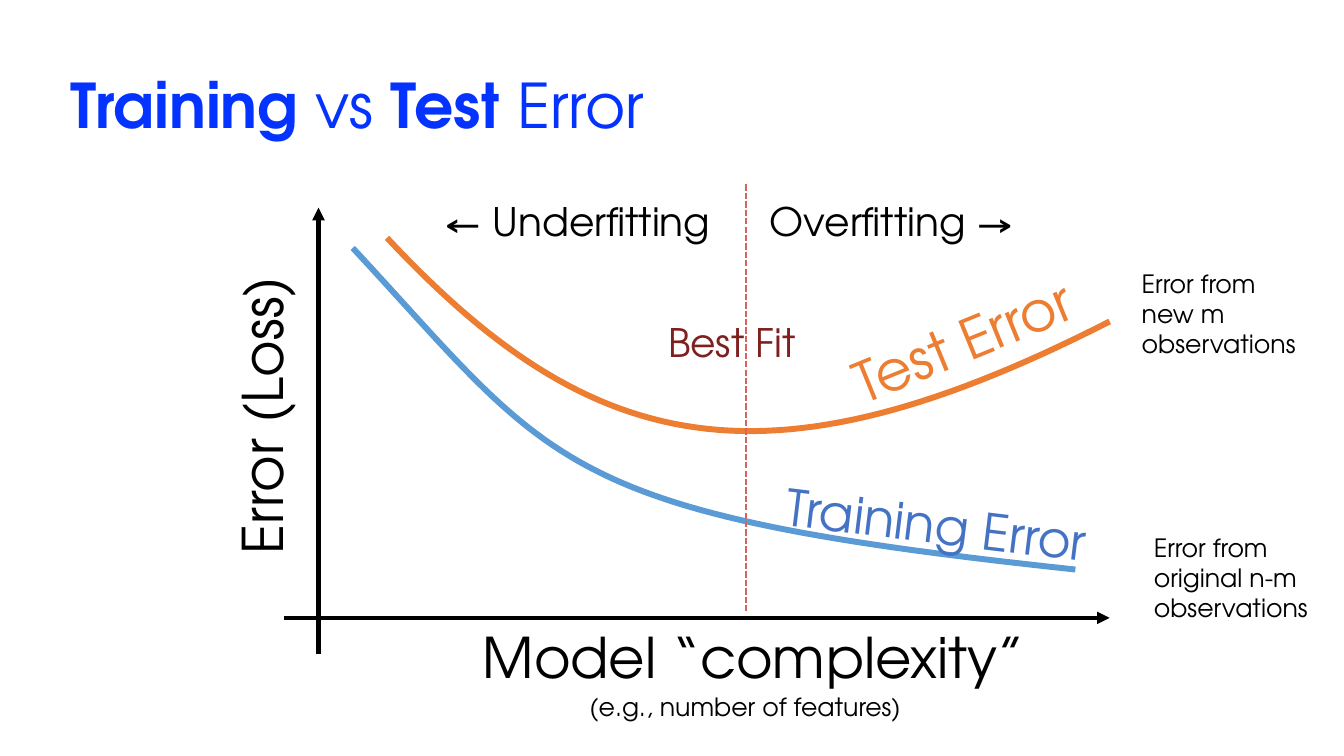
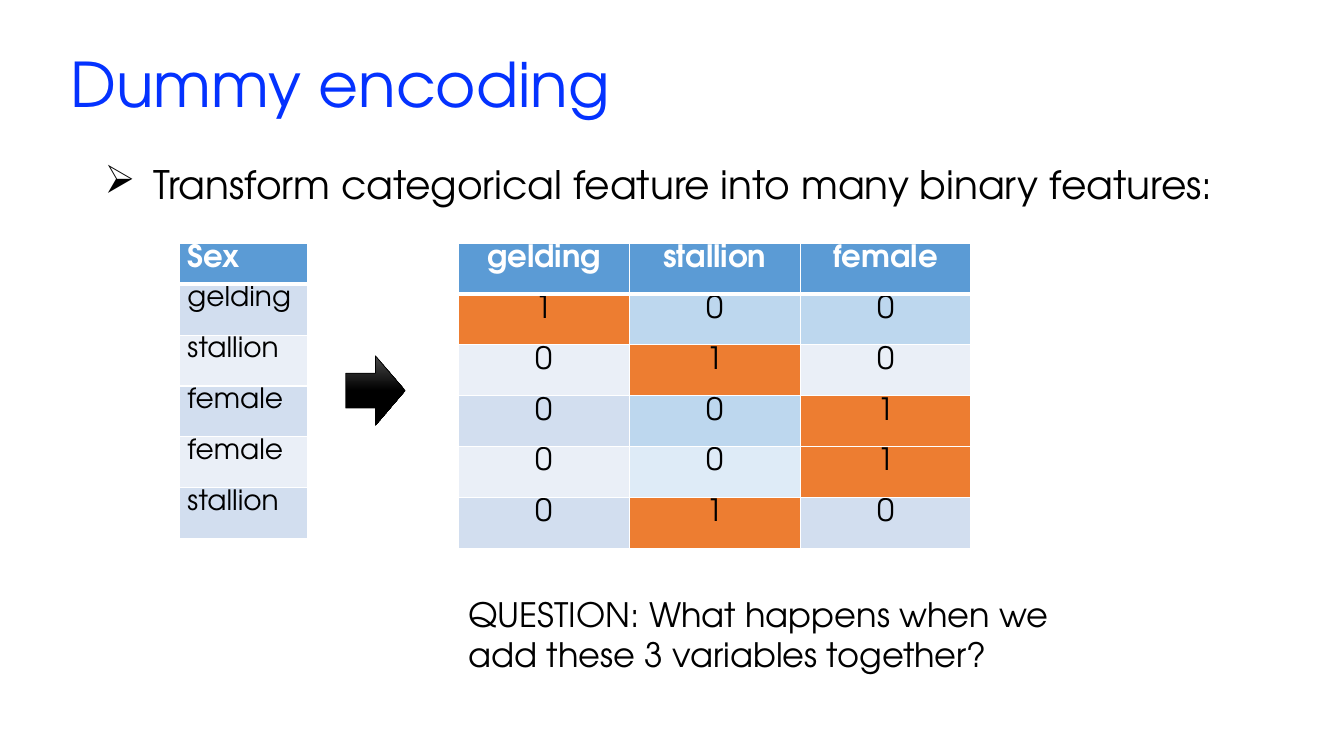
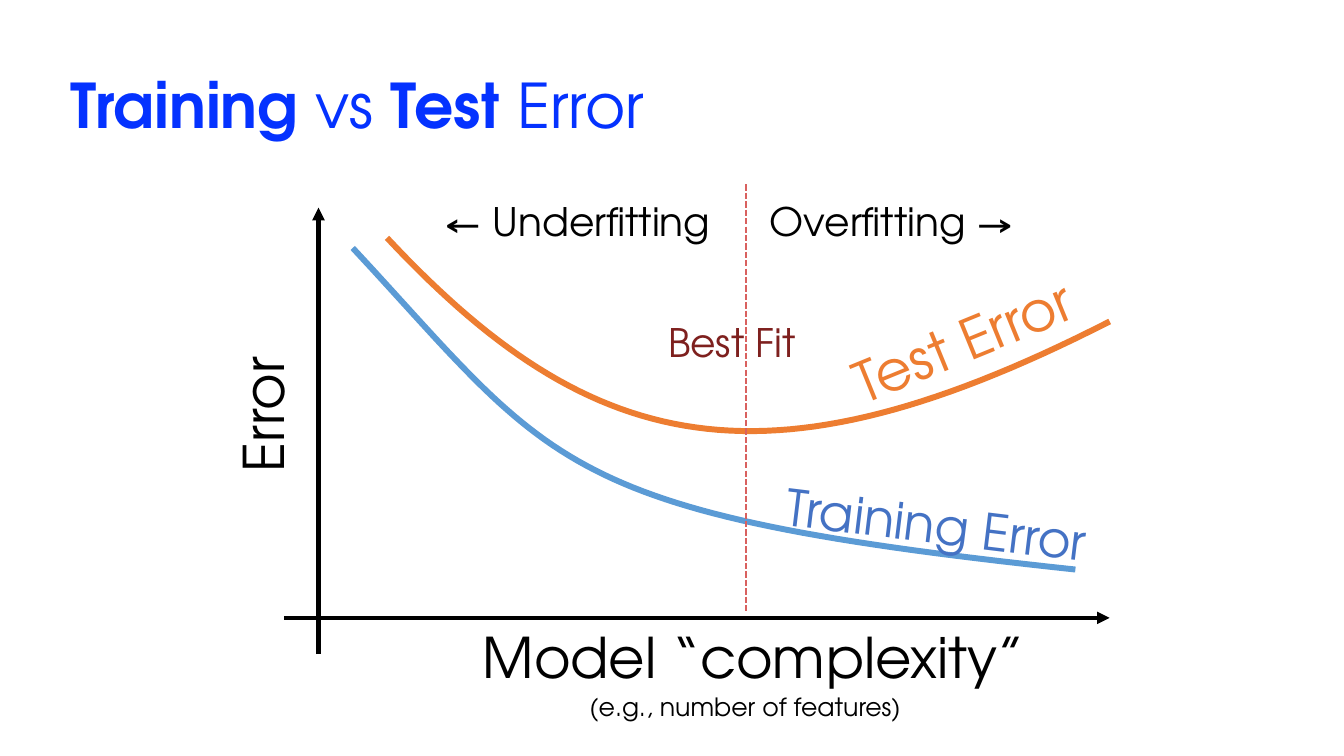
from pptx import Presentation
from pptx.dml.color import RGBColor
from pptx.enum.dml import MSO_LINE
from pptx.enum.shapes import MSO_CONNECTOR, MSO_SHAPE
from pptx.enum.text import MSO_ANCHOR, MSO_AUTO_SIZE, PP_ALIGN
from pptx.oxml import parse_xml
from pptx.oxml.ns import nsdecls, qn
from pptx.util import Emu, Pt

PX = 4572  # EMU per px, 200 px to the inch
FONT = "TeX Gyre Adventor"
TIGHT = 0.9  # line spacing of titles, bullets and cells
COLORS = {
    "title": "0432FF", "text": "000000", "white": "FFFFFF",
    "train_curve": "5B9BD5", "train_label": "4472C4", "test": "ED7D31",
    "best_line": "D9615F", "best_label": "7E201E",
    "header": "5B9BD5", "band_dark": "D2DEEF", "band_light": "EAEFF7",
    "zero_dark": "BDD7EE", "zero_light": "DEEBF7", "one": "ED7D31",
    "arrow_top": "4B4B4B",
}
LEFT, CENTER = PP_ALIGN.LEFT, PP_ALIGN.CENTER
MIDDLE = MSO_ANCHOR.MIDDLE
NO_FIT, GROW = MSO_AUTO_SIZE.NONE, MSO_AUTO_SIZE.SHAPE_TO_FIT_TEXT
STRAIGHT, DASH = MSO_CONNECTOR.STRAIGHT, MSO_LINE.SQUARE_DOT
RIGHT_ARROW = MSO_SHAPE.RIGHT_ARROW
TITLE_ONLY = 5


def px(*lengths):
    return [Emu(round(n * PX)) for n in lengths]


def rgb(name):
    return RGBColor.from_string(COLORS[name])


# Text
def add_run(p, text, size, color="text", bold=False):
    r = p.add_run()
    r.text = text
    r.font.name, r.font.size, r.font.bold = FONT, Pt(size), bold
    r.font.color.rgb = rgb(color)


def add_text(slide, box, text, size, color="text", rotation=0, wrap=False):
    sp = slide.shapes.add_textbox(*px(*box))
    sp.rotation = rotation
    tf = sp.text_frame
    tf.word_wrap, tf.auto_size = wrap, GROW
    add_run(tf.paragraphs[0], text, size, color)
    return sp


def add_bullet(slide, box, text, size):
    sp = add_text(slide, box, text, size, wrap=True)
    p = sp.text_frame.paragraphs[0]
    p.line_spacing = TIGHT
    indent, hang = px(100, -96)
    pPr = p._p.get_or_add_pPr()
    pPr.set("marL", str(indent))
    pPr.set("indent", str(hang))
    pPr.append(parse_xml(f'<a:buChar {nsdecls("a")} char="➢"/>'))


def add_titled_slide(prs, top, runs):
    slide = prs.slides.add_slide(prs.slide_layouts[TITLE_ONLY])
    title = slide.shapes.title
    title.left, title.top, title.width, title.height = px(120, top, 2362, 290)
    tf = title.text_frame
    tf.auto_size, tf.vertical_anchor, tf.word_wrap = NO_FIT, MIDDLE, True
    p = tf.paragraphs[0]
    p.alignment, p.line_spacing = LEFT, TIGHT
    for text, bold in runs:
        add_run(p, text, 44, "title", bold)
    return slide


# Lines and curves
def add_line(slide, ends, color, width, arrow=False, dash=None):
    sp = slide.shapes.add_connector(STRAIGHT, *px(*ends))
    sp.line.color.rgb, sp.line.width = rgb(color), Pt(width)
    if dash:
        sp.line.dash_style = dash
    spPr = sp._element.spPr
    if arrow:
        spPr.find(qn("a:ln")).append(
            parse_xml(f'<a:tailEnd {nsdecls("a")} type="triangle"/>'))
    spPr.append(parse_xml(f'<a:effectLst {nsdecls("a")}/>'))


def bezier(controls, steps=60):
    """Points along a cubic curve, in EMU."""
    points = []
    for i in range(steps + 1):
        t = i / steps
        u = 1 - t
        weights = (u ** 3, 3 * u * u * t, 3 * u * t * t, t ** 3)
        points.append(px(*(sum(w * c[axis] for w, c in zip(weights, controls))
                           for axis in (0, 1))))
    return points


def add_curve(slide, controls, color):
    start, *rest = bezier(controls)
    builder = slide.shapes.build_freeform(*start)
    builder.add_line_segments(rest, close=False)
    sp = builder.convert_to_shape()
    sp.fill.background()
    sp.line.color.rgb, sp.line.width = rgb(color), Pt(4.25)
    sp.shadow.inherit = False


# Tables
def set_borders(cell, bottom):
    tcPr = cell._tc.get_or_add_tcPr()
    for i, (side, width) in enumerate((("L", 1), ("R", 1), ("T", 1), ("B", bottom))):
        tcPr.insert(i, parse_xml(
            f'<a:ln{side} {nsdecls("a")} w="{Pt(width)}"><a:solidFill>'
            f'<a:srgbClr val="{COLORS["white"]}"/></a:solidFill></a:ln{side}>'))


def add_table(slide, left, top, col_width, header_height, rows, size, align, fill_of):
    row_height = 101
    n_rows, n_cols = len(rows), len(rows[0])
    height = header_height + row_height * (n_rows - 1)
    table = slide.shapes.add_table(
        n_rows, n_cols, *px(left, top, col_width * n_cols, height)).table
    for col in table.columns:
        col.width, = px(col_width)
    for i, values in enumerate(rows):
        header = i == 0
        table.rows[i].height, = px(header_height if header else row_height)
        for j, value in enumerate(values):
            cell = table.cell(i, j)
            cell.margin_left, cell.margin_right, cell.margin_top, cell.margin_bottom = px(16, 16, 8, 8)
            cell.fill.solid()
            cell.fill.fore_color.rgb = rgb("header" if header else fill_of(i, j, value))
            set_borders(cell, 3 if header else 1)
            p = cell.text_frame.paragraphs[0]
            p.alignment, p.line_spacing = align, TIGHT
            add_run(p, value, 22 if header else size, "white" if header else "text", header)


def band(i, j, value):
    return "band_dark" if i % 2 else "band_light"


# Slides
def add_error_slide(prs, y_label, y_box):
    slide = add_titled_slide(
        prs, 70, [("Training", True), (" vs ", False), ("Test", True), (" Error", False)])
    # Axes
    add_line(slide, (632, 1298, 632, 412), "text", 3, arrow=True)
    add_line(slide, (564, 1226, 2202, 1226), "text", 3, arrow=True)
    add_text(slide, (938, 1226, 1130, 154), "Model “complexity”", 40)
    add_text(slide, y_box, y_label, 40, rotation=270)
    # Error curves
    add_curve(slide, ((700, 492), (1104, 926), (1098, 1020), (2134, 1130)), "train_curve")
    add_text(slide, (1540, 970, 656, 142), "Training Error", 36, "train_label", 6.9)
    add_curve(slide, ((768, 472), (1174, 906), (1520, 986), (2202, 638)), "test")
    add_text(slide, (1662, 596, 508, 154), "Test Error", 40, "test", 337.8)
    # Best fit and its two sides
    add_line(slide, (1480, 366, 1480, 1212), "best_line", 1.5, dash=DASH)
    add_text(slide, (1306, 622, 296, 114), "Best Fit", 28, "best_label")
    add_text(slide, (1508, 382, 536, 114), "Overfitting →", 28)
    add_text(slide, (862, 382, 598, 114), "← Underfitting", 28)
    add_text(slide, (1150, 1362, 668, 80), "(e.g., number of features)", 18)
    return slide


def add_encoding_slide(prs):
    slide = add_titled_slide(prs, 28, [("Dummy encoding", False)])
    add_bullet(slide, (184, 318, 2300, 104),
               "Transform categorical feature into many binary features:", 28)

    # One category per row, then one binary column per category
    sexes = ["gelding", "stallion", "female", "female", "stallion"]
    categories = ["gelding", "stallion", "female"]
    binary = [["1" if sex == c else "0" for c in categories] for sex in sexes]
    zero_shades = {(1, 1): "zero_dark", (1, 2): "zero_dark",
                   (3, 1): "zero_dark", (4, 1): "zero_light"}

    def binary_fill(i, j, value):
        return "one" if value == "1" else zero_shades.get((i, j), band(i, j, value))

    add_table(slide, 356, 482, 254, 72, [["Sex"]] + [[s] for s in sexes], 20, LEFT, band)
    add_table(slide, 910, 482, 339, 101, [categories] + binary, 22, CENTER, binary_fill)

    # Arrow between the tables
    arrow = slide.shapes.add_shape(RIGHT_ARROW, *px(686, 706, 118, 138))
    arrow.shadow.inherit = False
    arrow.fill.gradient()
    arrow.fill.gradient_angle = 270
    for stop, position, color in zip(arrow.fill.gradient_stops, (0, 0.5), ("arrow_top", "text")):
        stop.position, stop.color.rgb = position, rgb(color)
    arrow.line.color.rgb, arrow.line.width = rgb("text"), Pt(0.5)

    add_text(slide, (910, 1168, 1262, 182),
             "QUESTION: What happens when we add these 3 variables together?", 24, wrap=True)


def main():
    prs = Presentation()
    prs.slide_width, prs.slide_height = px(2667, 1500)

    slide = add_error_slide(prs, "Error (Loss)", (218, 742, 602, 154))
    add_text(slide, (2270, 1046, 372, 202), "Error from original n-m observations", 18, wrap=True)
    add_text(slide, (2246, 522, 372, 202), "Error from new m observations", 18, wrap=True)

    add_encoding_slide(prs)
    add_error_slide(prs, "Error", (382, 742, 276, 154))
    prs.save("out.pptx")


if __name__ == "__main__":
    main()
